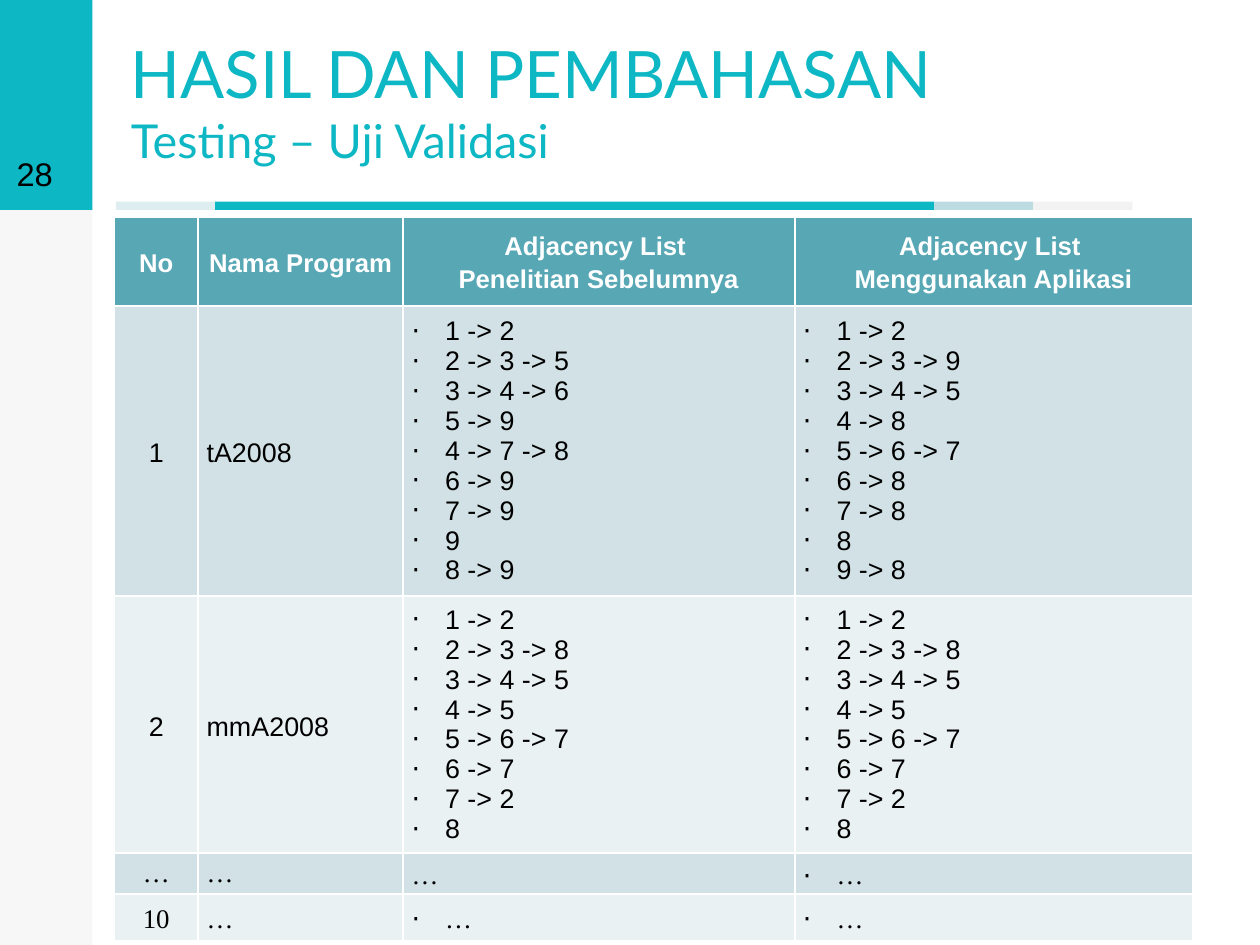
from lxml.etree import SubElement
from pptx import Presentation
from pptx.dml.color import RGBColor
from pptx.enum.shapes import MSO_SHAPE
from pptx.enum.text import MSO_ANCHOR, PP_ALIGN
from pptx.oxml.ns import qn
from pptx.util import Inches, Pt

WIDE = 7.5
HIGH = WIDE * 3 / 4
TEAL = RGBColor(0x0D, 0xB7, 0xC4)
MIST = RGBColor(0xDD, 0xED, 0xF0)
SKY = RGBColor(0xBC, 0xDC, 0xE1)
GRAY = RGBColor(0xF2, 0xF2, 0xF2)
PALE = RGBColor(0xF7, 0xF7, 0xF7)
HEAD = RGBColor(0x57, 0xA7, 0xB5)
BANDS = RGBColor(0xD1, 0xE1, 0xE5), RGBColor(0xEA, 0xF1, 0xF3)
WHITE = RGBColor(0xFF, 0xFF, 0xFF)
BLACK = RGBColor(0, 0, 0)

COLS = 0.5, 1.22, 2.33, 2.37
ROWS = 0.53, 1.44, 1.28, 0.24, 0.28
TITLES = ["No", "Nama Program", "Adjacency List \nPenelitian Sebelumnya",
          "Adjacency List \nMenggunakan Aplikasi"]
SAME = "1 -> 2\n2 -> 3 -> 8\n3 -> 4 -> 5\n4 -> 5\n5 -> 6 -> 7\n6 -> 7\n7 -> 2\n8"
DATA = [
    TITLES,
    ["1", "tA2008",
     "1 -> 2\n2 -> 3 -> 5\n3 -> 4 -> 6\n5 -> 9\n4 -> 7 -> 8\n6 -> 9\n7 -> 9\n9\n8 -> 9",
     "1 -> 2\n2 -> 3 -> 9\n3 -> 4 -> 5\n4 -> 8\n5 -> 6 -> 7\n6 -> 8\n7 -> 8\n8\n9 -> 8"],
    ["2", "mmA2008", SAME, SAME],
    ["…"] * 4,
    ["10"] + ["…"] * 3,
]


def style(run, face, size, color, bold=False):
    font = run.font
    font.name, font.size, font.bold = face, Pt(size), bold
    font.color.rgb = color


def add_bar(slide, box, color):
    bar = slide.shapes.add_shape(MSO_SHAPE.RECTANGLE, *map(Inches, box))
    bar.shadow.inherit = False
    bar.fill.solid()
    bar.fill.fore_color.rgb = color
    bar.line.fill.background()


def add_text(slide, box, text, face, sizes, color):
    frame = slide.shapes.add_textbox(*map(Inches, box)).text_frame
    frame.word_wrap = True
    frame.vertical_anchor = MSO_ANCHOR.BOTTOM
    frame.margin_left = frame.margin_right = Inches(0.1)
    frame.margin_top = frame.margin_bottom = Inches(0.1)
    para = frame.paragraphs[0]
    para.text = text
    for run, size in zip(para.runs, sizes):
        style(run, face, size, color)


# Side panel with the page number
def add_side(slide, left, top, width, height):
    tab = left, top, width, 1.25
    add_bar(slide, (left, top, width, height), PALE)
    add_bar(slide, tab, TEAL)
    add_text(slide, tab, "28", "Arial", [14], BLACK)


# Title with the striped rule below it
def add_head(slide, left, top, width, height):
    add_text(slide, (left, top, width, height),
             "HASIL DAN PEMBAHASAN\vTesting – Uji Validasi", "Lato", [28, 20], TEAL)
    spot = left + 0.01
    for part, color in (0.59, MIST), (4.28, TEAL), (0.59, SKY), (0.59, GRAY):
        add_bar(slide, (spot, top + 1.06, part, 0.05), color)
        spot += part


def add_bullet(para):
    props = para._p.get_or_add_pPr()
    props.set("marL", str(Inches(0.2)))
    props.set("indent", str(-Inches(0.2)))
    SubElement(props, qn("a:buFont")).set("typeface", "Arial")
    SubElement(props, qn("a:buChar")).set("char", "⋅")


def fill_cell(cell, text, row, col):
    cell.fill.solid()
    cell.fill.fore_color.rgb = BANDS[(row - 1) % 2] if row else HEAD
    cell.vertical_anchor = MSO_ANCHOR.MIDDLE
    cell.margin_left = cell.margin_right = Inches(0.05)
    cell.margin_top = cell.margin_bottom = 0
    cell.text_frame.text = text
    is_list = row > 0 and col > 1
    plain = (row, col) == (3, 2)
    tight = is_list and row < 3 or row == 3 and col < 2
    for para in cell.text_frame.paragraphs:
        para.alignment = PP_ALIGN.CENTER if row == 0 or col == 0 else PP_ALIGN.LEFT
        para.line_spacing = 1.0 if tight else 1.15
        para.space_before = para.space_after = Pt(0)
        if is_list and not plain:
            add_bullet(para)
        for run in para.runs:
            if row == 0:
                style(run, "Arial", 11, WHITE, True)
            else:
                style(run, "Arial" if row < 3 else "Times New Roman", 11.5, BLACK)


# Table of adjacency lists
def add_grid(slide, left, top, width, height):
    box = map(Inches, (left, top, width, height))
    shape = slide.shapes.add_table(len(ROWS), len(COLS), *box)
    grid = shape.table
    for col, size in zip(grid.columns, COLS):
        col.width = Inches(size)
    for row, size in zip(grid.rows, ROWS):
        row.height = Inches(size)
    shape.height = Inches(height)
    for row, line in enumerate(DATA):
        for col, text in enumerate(line):
            fill_cell(grid.cell(row, col), text, row, col)


def main():
    deck = Presentation()
    deck.slide_width, deck.slide_height = Inches(WIDE), Inches(HIGH)
    slide = deck.slides.add_slide(deck.slide_layouts[6])
    add_side(slide, 0, 0, 0.55, HIGH)
    add_head(slide, 0.68, 0.14, 5.45, 0.96)
    add_grid(slide, 0.68, 1.29, sum(COLS), 4.31)
    deck.save("out.pptx")


if __name__ == "__main__":
    main()
